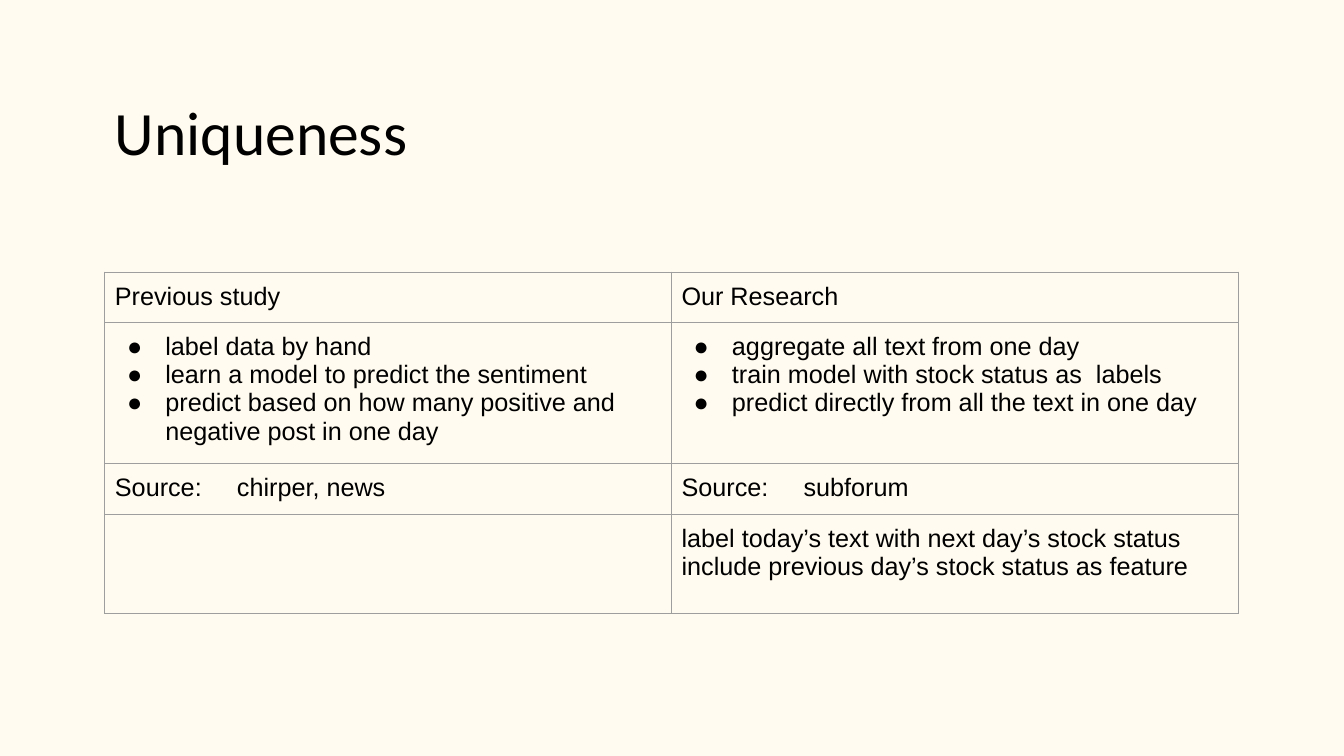
from dataclasses import dataclass

from lxml.etree import SubElement
from pptx import Presentation
from pptx.dml.color import RGBColor
from pptx.enum.text import MSO_ANCHOR
from pptx.oxml.ns import qn
from pptx.util import Inches, Pt


@dataclass(frozen=True)
class Theme:
    background: str = "FFFBF0"
    ink: str = "000000"
    border: str = "9E9E9E"
    title_font: str = "Calibri"
    body_font: str = "Arial"
    title_size: int = 44
    body_size: int = 18
    border_width: float = 0.75


theme = Theme()


def style_runs(para, font, size):
    for span in para.runs:
        span.font.name = font
        span.font.size = Pt(size)
        span.font.color.rgb = RGBColor.from_string(theme.ink)


def set_margins(area):
    area.margin_left = area.margin_right = Inches(0.1)
    area.margin_top = area.margin_bottom = Inches(0.1)


deck = Presentation()
deck.slide_width = Inches(13.33)
deck.slide_height = Inches(7.5)
page = deck.slides.add_slide(deck.slide_layouts[6])
page.background.fill.solid()
page.background.fill.fore_color.rgb = RGBColor.from_string(theme.background)

title_box = page.shapes.add_textbox(Inches(1.04), Inches(0.37), Inches(5.4), Inches(1.95))
title_frame = title_box.text_frame
title_frame.word_wrap = True
title_frame.vertical_anchor = MSO_ANCHOR.MIDDLE
set_margins(title_frame)
title_frame.text = "Uniqueness"
title_para = title_frame.paragraphs[0]
title_para.line_spacing = 0.9
style_runs(title_para, theme.title_font, theme.title_size)

comparison = [
    ["Previous study", "Our Research"],
    [
        "label data by hand\n"
        "learn a model to predict the sentiment\n"
        "predict based on how many positive and negative post in one day",
        "aggregate all text from one day\n"
        "train model with stock status as  labels\n"
        "predict directly from all the text in one day",
    ],
    ["Source:\tchirper, news", "Source:\tsubforum"],
    [
        "",
        "label today’s text with next day’s stock status\n"
        "include previous day’s stock status as feature",
    ],
]
row_heights = [0.48, 1.32, 0.48, 0.98]
column_width = 5.62
bullet_row, source_row = 1, 2

table = page.shapes.add_table(
    len(comparison), 2, Inches(1.04), Inches(2.7),
    Inches(2 * column_width), Inches(sum(row_heights)),
).table
table.first_row = False
table.horz_banding = False
for column in table.columns:
    column.width = Inches(column_width)

for row_index, (texts, height) in enumerate(zip(comparison, row_heights)):
    table.rows[row_index].height = Inches(height)
    for column_index, text in enumerate(texts):
        cell = table.cell(row_index, column_index)
        cell.text_frame.text = text
        set_margins(cell)

        cell_properties = cell._tc.get_or_add_tcPr()
        for side in ("a:lnL", "a:lnR", "a:lnT", "a:lnB"):
            line = SubElement(cell_properties, qn(side), w=str(Pt(theme.border_width)))
            line_fill = SubElement(line, qn("a:solidFill"))
            SubElement(line_fill, qn("a:srgbClr"), val=theme.border)
        cell.fill.background()

        for para in cell.text_frame.paragraphs:
            style_runs(para, theme.body_font, theme.body_size)
            para_properties = para._p.get_or_add_pPr()
            if row_index == bullet_row:
                para_properties.set("marL", str(Inches(0.5)))
                para_properties.set("indent", str(Inches(-0.38)))
                bullet_color = SubElement(para_properties, qn("a:buClr"))
                SubElement(bullet_color, qn("a:srgbClr"), val=theme.ink)
                SubElement(para_properties, qn("a:buFont"), typeface=theme.body_font)
                SubElement(para_properties, qn("a:buChar"), char="●")
            elif row_index == source_row:
                tab_stops = SubElement(para_properties, qn("a:tabLst"))
                SubElement(tab_stops, qn("a:tab"), pos=str(Inches(1.21)), algn="l")

deck.save("out.pptx")
